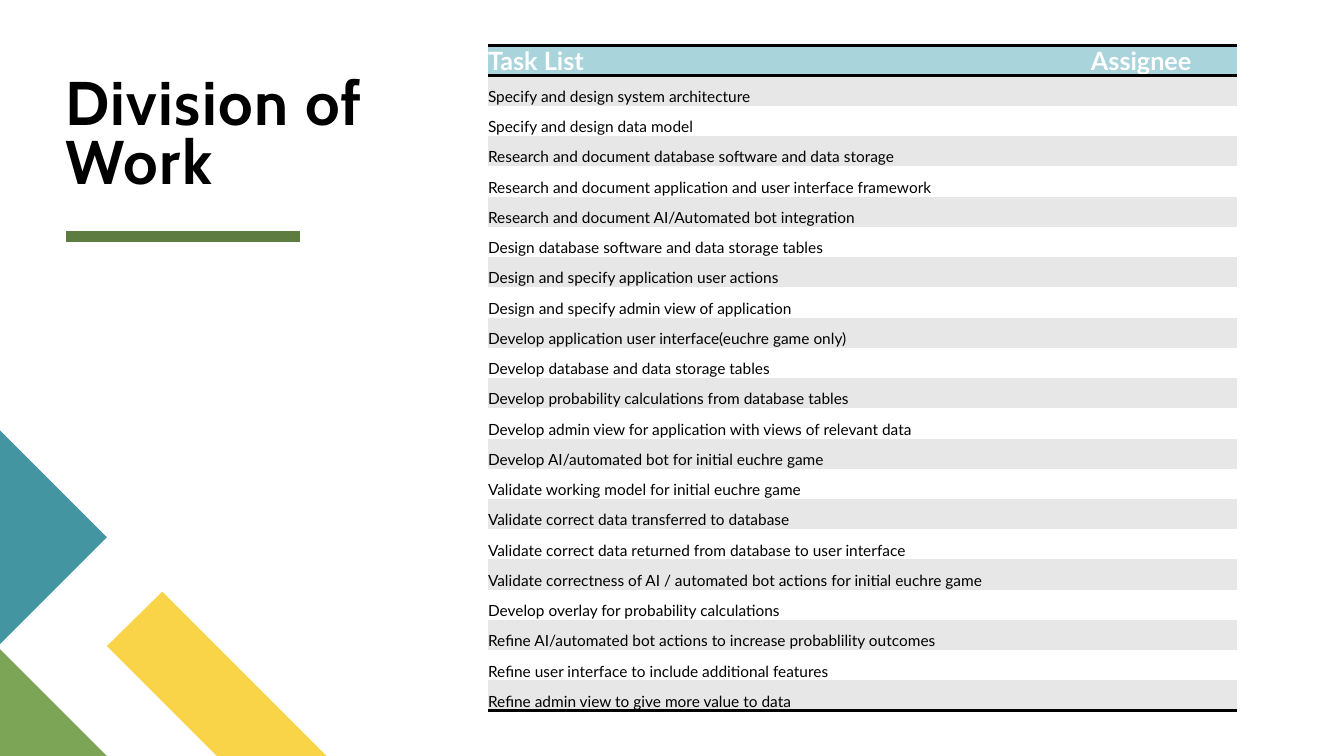
from lxml import etree
from pptx import Presentation
from pptx import util as u
from pptx.dml.color import RGBColor
from pptx.enum import shapes, text
from pptx.oxml import ns

WIDTH, HEIGHT = 13.33, 7.5
COLORS = {
    "ink": "000000", "white": "FFFFFF", "header": "A9D4DB", "band": "E7E7E7",
    "rule": "5D7D40", "yellow": "F9D448", "green": "7CA655", "teal": "4495A2",
}
NO_GRID_STYLE = "{2D5ABB26-0587-4C30-8999-92F81FD0307C}"
HEADINGS = ["Task List", "Assignee"]
TASKS = [
    "Specify and design system architecture",
    "Specify and design data model",
    "Research and document database software and data storage",
    "Research and document application and user interface framework",
    "Research and document AI/Automated bot integration",
    "Design database software and data storage tables",
    "Design and specify application user actions",
    "Design and specify admin view of application",
    "Develop application user interface(euchre game only)",
    "Develop database and data storage tables",
    "Develop probability calculations from database tables",
    "Develop admin view for application with views of relevant data",
    "Develop AI/automated bot for initial euchre game",
    "Validate working model for initial euchre game",
    "Validate correct data transferred to database",
    "Validate correct data returned from database to user interface",
    "Validate correctness of AI / automated bot actions for initial euchre game",
    "Develop overlay for probability calculations",
    "Refine AI/automated bot actions to increase probablility outcomes",
    "Refine user interface to include additional features",
    "Refine admin view to give more value to data",
]


def color(name):
    """Return the named palette colour."""
    return RGBColor.from_string(COLORS[name])


def add_span(para, words, font, size, ink, bold):
    """Add one formatted run to a paragraph."""
    span = para.add_run()
    span.text = words
    span.font.name = font
    span.font.size = u.Pt(size)
    span.font.bold = bold
    span.font.color.rgb = color(ink)
    return span


def clear_margins(area):
    """Remove the inner margins of a text frame or cell."""
    area.margin_left = area.margin_right = area.margin_top = area.margin_bottom = 0


def add_heading(page, box):
    """Place the two-line title and the green rule below it."""
    left, top, width, height = box
    title = page.shapes.title
    title.left, title.top, title.width, title.height = map(u.Inches, box)
    frame = title.text_frame
    clear_margins(frame)
    frame.word_wrap = True
    frame.auto_size = text.MSO_AUTO_SIZE.NONE
    frame.vertical_anchor = text.MSO_ANCHOR.BOTTOM
    para = frame.paragraphs[0]
    para.alignment = text.PP_ALIGN.LEFT
    para.line_spacing = 0.8
    for index, words in enumerate(["Division of", "Work"]):
        if index:
            para.add_line_break()
        span = add_span(para, words, "Cabin", 44, "ink", True)
        span._r.get_or_add_rPr().set("spc", "100")

    rule_y = u.Inches(top + height + 0.4)
    rule = page.shapes.add_connector(
        shapes.MSO_CONNECTOR.STRAIGHT,
        u.Inches(left), rule_y, u.Inches(left + 2.33), rule_y)
    rule.line.color.rgb = color("rule")
    rule.line.width = u.Pt(8)
    etree.SubElement(rule._element.spPr, ns.qn("a:effectLst"))


def add_corner(page, box):
    """Draw the coloured diagonal pieces in the lower left corner."""
    left, top, width, height = box
    step = 1.06
    pieces = {
        "yellow": [(width, height), (2.15, height), (step, 2.14), (1.61, 1.6)],
        "green": [(step, height), (0, height), (0, height - step)],
        "teal": [(0, 0), (step, step), (0, 2 * step)],
    }
    for name, points in pieces.items():
        corners = [(u.Inches(left + x), u.Inches(top + y)) for x, y in points]
        builder = page.shapes.build_freeform(*corners[0])
        builder.add_line_segments(corners[1:], close=True)
        piece = builder.convert_to_shape()
        piece.fill.solid()
        piece.fill.fore_color.rgb = color(name)
        piece.line.fill.background()
        piece.shadow.inherit = False


def add_border(cell, side, position):
    """Add a black two-point border ahead of the cell's fill."""
    border = etree.Element(ns.qn(f"a:{side}"), w=str(u.Pt(2)))
    fill = etree.SubElement(border, ns.qn("a:solidFill"))
    etree.SubElement(fill, ns.qn("a:srgbClr"), val=COLORS["ink"])
    cell._tc.get_or_add_tcPr().insert(position, border)


def add_task_table(page, box):
    """Build the banded task list with its ruled header."""
    left, top, width, height = box
    rows = [HEADINGS] + [[task, ""] for task in TASKS]
    table = page.shapes.add_table(len(rows), 2, *map(u.Inches, box)).table
    table._tbl.tblPr.find(ns.qn("a:tableStyleId")).text = NO_GRID_STYLE
    table.first_row = table.horz_banding = False
    table.columns[0].width = u.Inches(5.98)
    table.columns[1].width = u.Inches(width - 5.98)
    for r, row in enumerate(rows):
        table.rows[r].height = u.Inches(height / len(rows))
        fill = "header" if r == 0 else "band" if r % 2 else "white"
        style = (18, "white", True) if r == 0 else (11, "ink", False)
        for c, words in enumerate(row):
            cell = table.cell(r, c)
            clear_margins(cell)
            cell.vertical_anchor = text.MSO_ANCHOR.TOP if c else text.MSO_ANCHOR.BOTTOM
            cell.fill.solid()
            cell.fill.fore_color.rgb = color(fill)
            add_span(cell.text_frame.paragraphs[0], words, "Lato", *style)
            sides = ["lnT", "lnB"] if r == 0 else ["lnB"] if r == len(TASKS) else []
            for position, side in enumerate(sides):
                add_border(cell, side, position)


def main():
    """Assemble and save the slide."""
    deck = Presentation()
    deck.slide_width, deck.slide_height = u.Inches(WIDTH), u.Inches(HEIGHT)
    page = deck.slides.add_slide(deck.slide_layouts[5])
    page.background.fill.solid()
    page.background.fill.fore_color.rgb = color("white")
    add_heading(page, (0.65, 0.11, 11.89, 1.84))
    add_corner(page, (0, 4.27, 3.24, HEIGHT - 4.27))
    add_task_table(page, (4.84, 0.45, 7.43, 6.6))
    deck.save("out.pptx")


if __name__ == "__main__":
    main()
